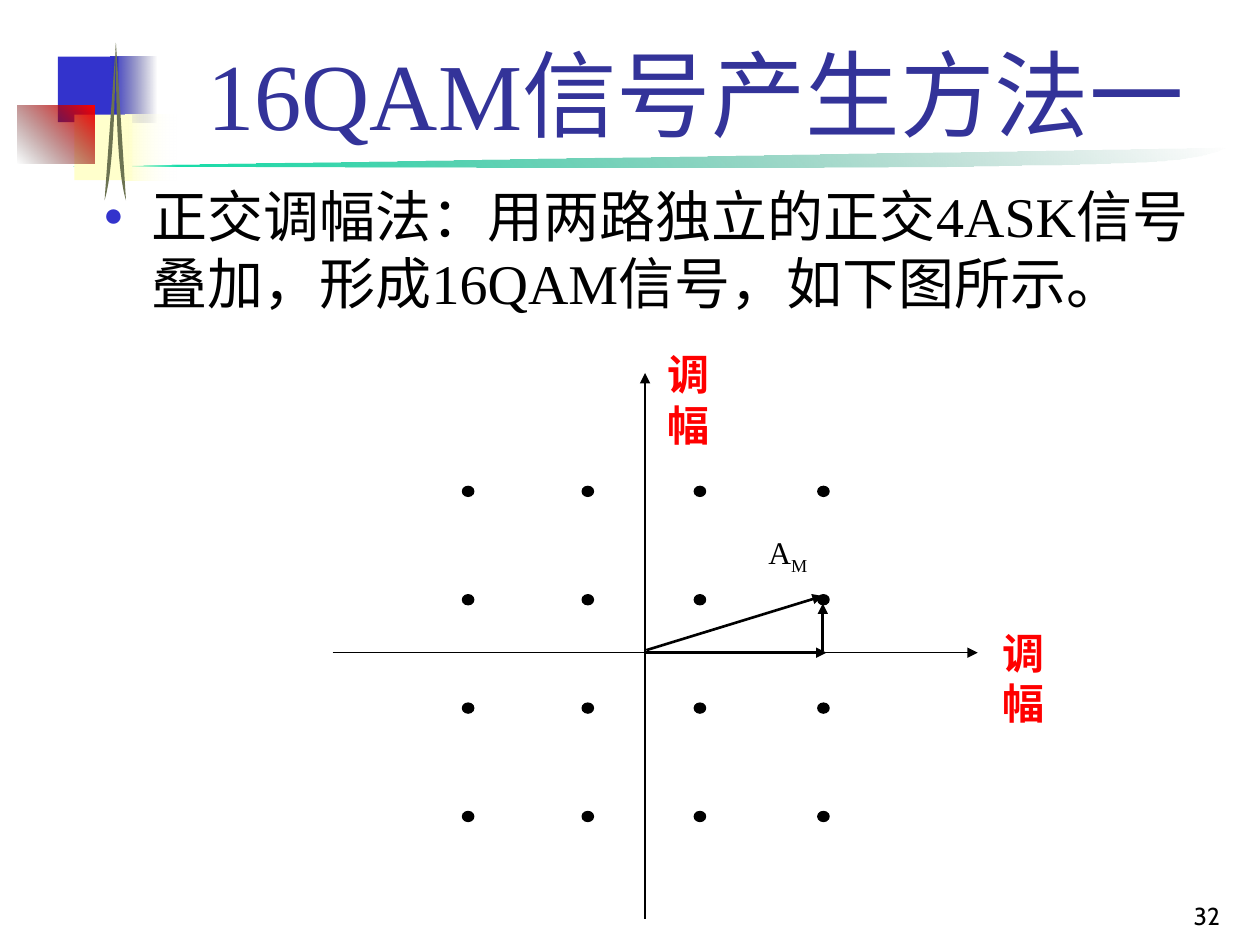
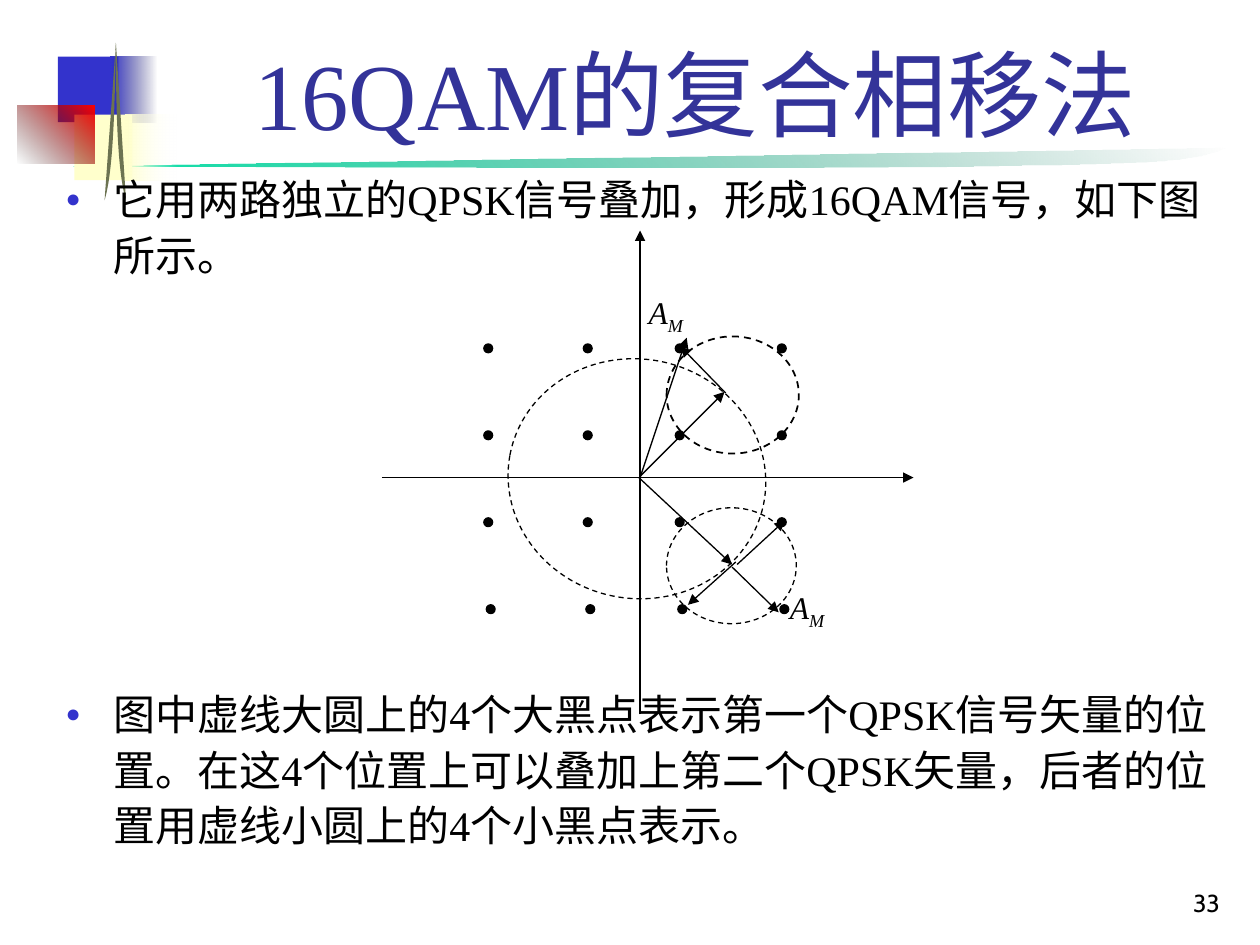
from lxml import etree
from pptx import Presentation
from pptx.dml.color import RGBColor
from pptx.enum.dml import MSO_LINE
from pptx.enum.shapes import MSO_CONNECTOR, MSO_SHAPE
from pptx.enum.text import MSO_ANCHOR, MSO_AUTO_SIZE, PP_ALIGN
from pptx.oxml.ns import qn
from pptx.util import Inches, Pt

DASH = MSO_LINE.DASH
STRAIGHT = MSO_CONNECTOR.STRAIGHT
RECT, OVAL = MSO_SHAPE.RECTANGLE, MSO_SHAPE.OVAL
TOP, BOTTOM = MSO_ANCHOR.TOP, MSO_ANCHOR.BOTTOM
NO_FIT = MSO_AUTO_SIZE.NONE
LEFT, CENTER, RIGHT = PP_ALIGN.LEFT, PP_ALIGN.CENTER, PP_ALIGN.RIGHT

SERIF, SANS = "Times New Roman", "Cabin"
BLACK, RED, TITLE_BLUE = "000000", "FF0000", "333399"
BLUE, CREAM, OLIVE = "3333CC", "FFFFCC", "6C7351"
INDENT = 0.38


def rgb(value):
    """Turn a hex string into a colour."""
    return RGBColor.from_string(value)


def inches(*lengths):
    """Turn several numbers into lengths."""
    return [Inches(length) for length in lengths]


def add_run(para, text, size, color=BLACK, font=SERIF, bold=False, italic=False, baseline=0):
    """Append one formatted run to a paragraph."""
    span = para.add_run()
    span.text = text
    span.font.size = Pt(size)
    span.font.name = font
    span.font.bold = bold
    span.font.italic = italic
    span.font.color.rgb = rgb(color)
    if baseline:
        span._r.get_or_add_rPr().set("baseline", str(baseline * 1000))


def add_text_box(page, box, align=LEFT, anchor=TOP, wrap=True):
    """Add an empty text box and return its first paragraph."""
    frame = page.shapes.add_textbox(*inches(*box)).text_frame
    frame.word_wrap = wrap
    frame.vertical_anchor = anchor
    frame.paragraphs[0].alignment = align
    return frame.paragraphs[0]


def place(holder, box, anchor):
    """Move a placeholder and fix its text frame."""
    holder.left, holder.top, holder.width, holder.height = inches(*box)
    frame = holder.text_frame
    frame.word_wrap = True
    frame.auto_size = NO_FIT
    frame.vertical_anchor = anchor
    return frame


def add_bullet(para):
    """Give a paragraph a hanging round bullet."""
    props = para._p.get_or_add_pPr()
    props.set("marL", str(Inches(INDENT)))
    props.set("indent", str(-Inches(INDENT)))
    color = etree.SubElement(props, qn("a:buClr"))
    etree.SubElement(color, qn("a:srgbClr"), val=BLUE)
    etree.SubElement(props, qn("a:buSzPct"), val="60000")
    etree.SubElement(props, qn("a:buChar"), char="●")


def paint(shape, colors, angle=0, clear_stop=None):
    """Fill a shape with one colour or a two-colour gradient, without outline."""
    shape.shadow.inherit = False
    shape.line.fill.background()
    if len(colors) == 1:
        shape.fill.solid()
        shape.fill.fore_color.rgb = rgb(colors[0])
        return
    shape.fill.gradient()
    shape.fill.gradient_angle = angle
    for stop, color in zip(shape.fill.gradient_stops, colors):
        stop.color.rgb = rgb(color)
    if clear_stop is not None:
        stops = list(shape.element.iter(qn("a:gs")))
        etree.SubElement(stops[clear_stop][0], qn("a:alpha"), val="0")


def curve_points(start, controls, steps=24):
    """Sample a chain of cubic curves as points in EMU."""
    points = []
    for first, second, end in controls:
        for step in range(1, steps + 1):
            t = step / steps
            weights = ((1 - t) ** 3, 3 * t * (1 - t) ** 2, 3 * t * t * (1 - t), t ** 3)
            knots = (start, first, second, end)
            points.append(tuple(
                Inches(sum(w * knot[axis] for w, knot in zip(weights, knots)))
                for axis in (0, 1)))
        start = end
    return points


def add_curve(page, start, controls):
    """Add a closed outline bounded by cubic curves."""
    builder = page.shapes.build_freeform(*inches(*start))
    builder.add_line_segments(curve_points(start, controls), close=True)
    return builder.convert_to_shape()


def add_template_art(page, layout):
    """Draw the swoosh, squares and needle, and move them to the layout."""
    swoosh = add_curve(page, (0.58, 1.31), [
        ((3.49, 1.32), (6.39, 1.34), (7.92, 1.31)),
        ((9.44, 1.29), (9.48, 1.26), (9.75, 1.17))])
    paint(swoosh, ("00E4A8", "006A4E"), 45, 1)
    art = [swoosh]
    squares = [
        ((0.46, 0.45, 0.48, 0.52), (BLUE,), 0, None),
        ((0.88, 0.45, 0.36, 0.52), (BLUE, "18185E"), 0, 1),
        ((0.59, 0.91, 0.46, 0.52), (CREAM,), 0, None),
        ((1, 0.91, 0.4, 0.52), (CREAM, "FFFFFF"), 0, 1),
        ((0.14, 0.84, 0.61, 0.46), ("100000", RED), 45, 0)]
    for box, colors, angle, clear_stop in squares:
        square = page.shapes.add_shape(RECT, *inches(*box))
        paint(square, colors, angle, clear_stop)
        art.append(square)
    tip = (0.92, 0.34)
    for controls in (((0.91, 0.85), (0.9, 1.36), (0.83, 1.59)),
                     ((0.92, 0.85), (0.93, 1.36), (1, 1.59))):
        needle = add_curve(page, tip, [controls])
        paint(needle, (OLIVE,))
        art.append(needle)
    for number, shape in enumerate(art, 100):
        next(shape.element.iter(qn("p:cNvPr"))).set("id", str(number))
        layout.shapes.element.append(shape.element)


def add_heading(page, text):
    """Fill the title placeholder."""
    para = place(page.shapes.title, (1.26, 0.23, 8.52, 1.01), BOTTOM).paragraphs[0]
    para.alignment = CENTER
    add_run(para, text, 54, TITLE_BLUE)


def add_body(page, box, texts, size, gap=0, line_spacing=1.0):
    """Fill the body placeholder with bullets separated by a gap in points."""
    frame = place(page.placeholders[1], box, TOP)
    for index, text in enumerate(texts):
        para = frame.add_paragraph() if index else frame.paragraphs[0]
        add_bullet(para)
        para.space_before = Pt(gap if index else 0)
        para.line_spacing = line_spacing
        add_run(para, text, size)


def add_page_number(page, number, top):
    """Write the page number at the bottom right."""
    para = add_text_box(page, (7.7, top, 2.08, 0.5), RIGHT, BOTTOM)
    add_run(para, str(number), 14, font=SANS)


def add_amplitude_label(page, box, italic):
    """Write A with subscript M."""
    para = add_text_box(page, box)
    add_run(para, "A", 18, italic=italic)
    add_run(para, "M", 18, italic=italic, baseline=-25)


def add_axis_label(page, left, top):
    """Write the red label of a modulated axis."""
    para = add_text_box(page, (left, top, 0.86, 0.5), wrap=False)
    add_run(para, "调幅", 24, RED, SANS, bold=True)


def add_arrows(page, origin, vectors, width=0.75):
    """Draw arrows whose ends are given relative to the origin."""
    x, y = origin
    for x1, y1, x2, y2 in vectors:
        arrow = page.shapes.add_connector(
            STRAIGHT, *inches(x + x1, y + y1, x + x2, y + y2))
        arrow.line.color.rgb = rgb(BLACK)
        arrow.line.width = Pt(width)
        etree.SubElement(arrow.line._get_or_add_ln(), qn("a:tailEnd"), type="triangle")
        etree.SubElement(arrow.element.spPr, qn("a:effectLst"))


def add_oval(page, box, width=0.75, filled=False, rotation=0):
    """Add a black dot or a dashed ring."""
    oval = page.shapes.add_shape(OVAL, *inches(*box))
    oval.shadow.inherit = False
    oval.rotation = rotation
    oval.line.color.rgb = rgb(BLACK)
    oval.line.width = Pt(width)
    if filled:
        oval.fill.solid()
        oval.fill.fore_color.rgb = rgb(BLACK)
    else:
        oval.fill.background()
        oval.line.dash_style = DASH


def add_constellation(page, origin, columns, first_row, pitch, dot, last_shift=0):
    """Draw four equally spaced rows of dots around the origin."""
    x, y = origin
    for row in range(4):
        shift = last_shift if row == 3 else 0
        for column in columns:
            box = (x + column + shift, y + first_row + row * pitch, *dot)
            add_oval(page, box, filled=True)


def add_amplitude_diagram(page, origin):
    """Draw the constellation made of two orthogonal 4ASK signals."""
    x, y = origin
    add_amplitude_label(page, (x + 0.88, y - 1, 1, 0.57), False)
    add_constellation(page, origin, (-1.45, -0.5, 0.39, 1.37), -1.32, 0.86, (0.09, 0.08))
    add_arrows(page, origin, [(-2.48, 0, 2.64, 0), (0, 2.11, 0, -2.22)])
    add_arrows(page, origin, [
        (0.01, -0.02, 1.41, -0.45),
        (-0.01, 0, 1.44, 0),
        (1.41, -0.01, 1.41, -0.39)], 1.5)
    add_axis_label(page, x + 2.74, y - 0.25)
    add_axis_label(page, x + 0.08, y - 2.46)


def add_phase_diagram(page, origin):
    """Draw the constellation made of two added QPSK vectors."""
    x, y = origin
    add_amplitude_label(page, (x - 0.03, y - 1.51, 0.83, 0.5), True)
    add_amplitude_label(page, (x + 1.09, y + 0.83, 0.83, 0.5), True)
    add_oval(page, (x - 1.05, y - 0.94, 2.05, 1.9), rotation=10.6)
    add_constellation(page, origin, (-1.24, -0.45, 0.28, 1.09), -1.06, 0.69,
                      (0.07, 0.07), 0.02)
    add_arrows(page, origin, [
        (-2.05, 0, 2.17, 0),
        (0, 1.88, 0, -1.96),
        (0.68, -0.67, 0.32, -1.04),
        (0, -0.01, 0.67, -0.68),
        (0, 0, 0.37, -1.11),
        (-0.01, 0, 0.73, 0.69),
        (0.73, 0.71, 1.1, 1.07),
        (0.76, 0.67, 0.38, 1.01),
        (0.77, 0.69, 1.15, 0.34)])
    add_oval(page, (x + 0.21, y + 0.24, 1.03, 0.92))
    add_oval(page, (x + 0.21, y - 1.12, 1.05, 0.93), 1)


def main():
    """Build both slides and save the deck."""
    deck = Presentation()
    deck.slide_width, deck.slide_height = inches(10, 7.5)
    layout = deck.slide_layouts[1]

    page = deck.slides.add_slide(layout)
    add_template_art(page, layout)
    add_heading(page, "16QAM信号产生方法一")
    add_body(page, (0.72, 1.39, 9.09, 6.11), [
        "正交调幅法：用两路独立的正交4ASK信号叠加，形成16QAM信号，如下图所示。"], 32)
    add_amplitude_diagram(page, (5.12, 5.18))
    add_page_number(page, 32, 6.93)

    page = deck.slides.add_slide(layout)
    add_heading(page, "16QAM的复合相移法")
    add_body(page, (0.42, 1.29, 9.39, 6.21), [
        "它用两路独立的QPSK信号叠加，形成16QAM信号，如下图所示。",
        "图中虚线大圆上的4个大黑点表示第一个QPSK信号矢量的位置。"
        "在这4个位置上可以叠加上第二个QPSK矢量，后者的位置用虚线小圆上的4个小黑点表示。",
    ], 24, 231, 1.1)
    add_phase_diagram(page, (5.08, 3.79))
    add_page_number(page, 33, 6.83)

    deck.save("out.pptx")


if __name__ == "__main__":
    main()
